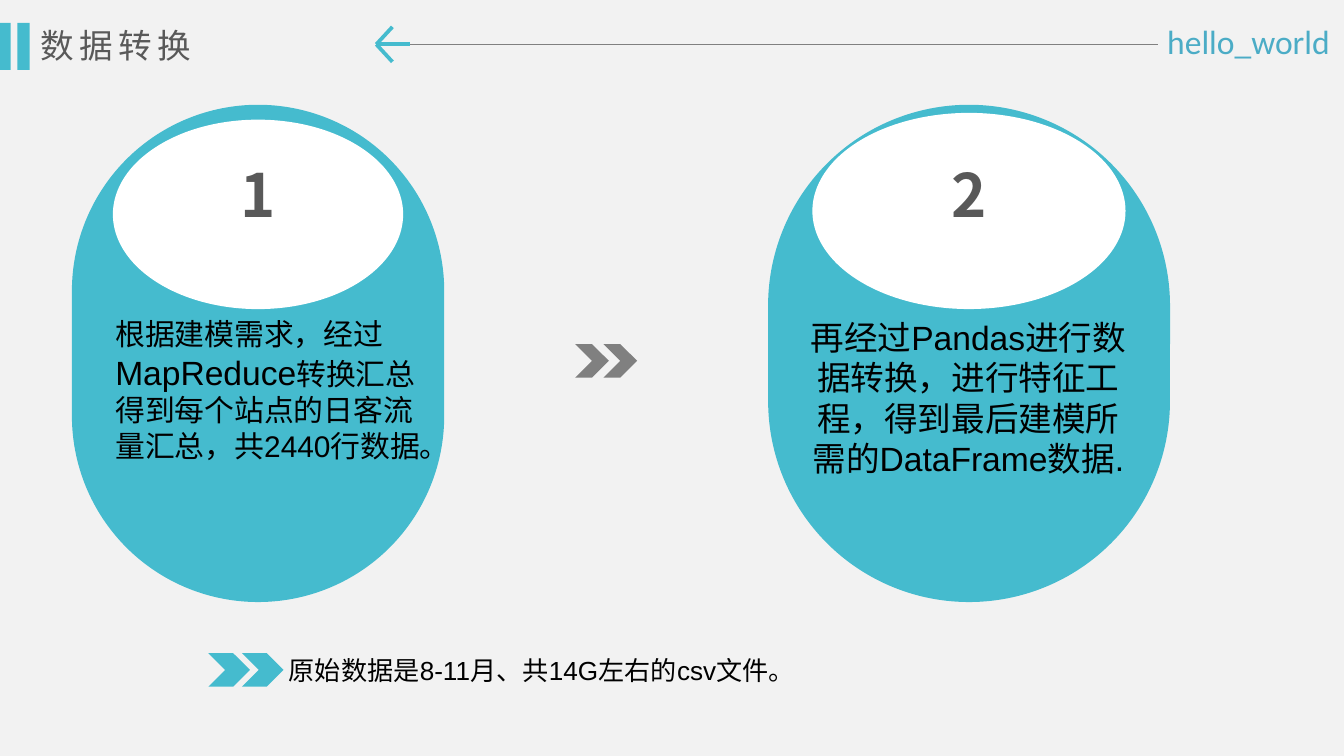
from lxml.etree import SubElement
from pptx import Presentation
from pptx.dml.color import RGBColor
from pptx.enum.shapes import MSO_CONNECTOR, MSO_SHAPE
from pptx.enum.text import PP_ALIGN
from pptx.oxml.ns import qn
from pptx.util import Inches, Pt

TEAL = RGBColor(0x45, 0xBB, 0xCE)
BLUE = RGBColor(0x4B, 0xAC, 0xC6)
GRAY = RGBColor(0x80, 0x80, 0x80)
DARK = RGBColor(0x59, 0x59, 0x59)
BLACK = RGBColor(0, 0, 0)
WHITE = RGBColor(0xFF, 0xFF, 0xFF)
BACKGROUND = RGBColor(0xF2, 0xF2, 0xF2)
CHINESE_FONT = "Noto Sans CJK SC"

TITLE = "数据转换"
TAG = "hello_world"
NOTE = "原始数据是8-11月、共14G左右的csv文件。"
PANEL_HEIGHT = 3.7
PANEL_MIDDLE = 2.63
PANELS = [
    {
        "number": "1", "center": 1.92, "width": 2.77,
        "oval": (0.89, 2.16, 1.41), "number_width": 2.38,
        "text_box": (0.76, 2.3, 2.5, 1.21), "align": PP_ALIGN.LEFT,
        "runs": [("根据建模需求，经过", 16), ("MapReduce", 18),
                 ("转换汇总得到每个站点的日客流量汇总，共2440行数据。", 16)],
    },
    {
        "number": "2", "center": 7.21, "width": 2.99,
        "oval": (0.84, 2.33, 1.46), "number_width": 2.57,
        "text_box": (5.87, 2.31, 2.67, 1.58), "align": PP_ALIGN.CENTER,
        "runs": [("再经过Pandas进行数据转换，进行特征工程，"
                  "得到最后建模所需的DataFrame数据.", 18)],
    },
]
CHEVRON_PAIRS = [
    (1.55, 4.86, 0.31, 0.25, TEAL),
    (4.28, 2.56, 0.25, 0.21, GRAY),
]
CHEVRON_HEIGHT = 0.25
ARROW_TIP = (2.8, 0.33)
ARROW_ENDS = [(2.92, 0.2), (2.92, 0.46), (3.05, 0.33)]

presentation = Presentation()
presentation.slide_width = Inches(10)
presentation.slide_height = Inches(10 * 9 / 16)
slide = presentation.slides.add_slide(presentation.slide_layouts[6])
slide.background.fill.solid()
slide.background.fill.fore_color.rgb = BACKGROUND


def add_filled(kind, left, top, width, height, color):
    shape = slide.shapes.add_shape(
        kind, Inches(left), Inches(top), Inches(width), Inches(height))
    shape.shadow.inherit = False
    shape.fill.solid()
    shape.fill.fore_color.rgb = color
    shape.line.fill.background()
    return shape


def add_line(start, end, color, width):
    points = [Inches(value) for value in (*start, *end)]
    line = slide.shapes.add_connector(MSO_CONNECTOR.STRAIGHT, *points)
    line.line.color.rgb = color
    line.line.width = Pt(width)
    SubElement(line._element.spPr, qn("a:effectLst"))


def add_text(box, runs, color, font_name="Arial", align=PP_ALIGN.LEFT,
             bold=False, spacing=0, inset=True):
    frame = slide.shapes.add_textbox(*(Inches(value) for value in box)).text_frame
    frame.word_wrap = True
    if not inset:
        frame.margin_left = frame.margin_right = 0
        frame.margin_top = frame.margin_bottom = 0
    paragraph = frame.paragraphs[0]
    paragraph.alignment = align
    sizes = {size for _, size in runs}
    for text, size in runs:
        run = paragraph.add_run()
        run.text = text
        if len(sizes) > 1:
            run.font.size = Pt(size)
    font = paragraph.font
    font.name = font_name
    font.color.rgb = color
    font.bold = bold
    if len(sizes) == 1:
        font.size = Pt(runs[0][1])
    for properties in [font._element] + [run.font._element for run in paragraph.runs]:
        if spacing:
            properties.set("spc", str(int(spacing * 100)))
        SubElement(properties, qn("a:ea")).set("typeface", CHINESE_FONT)
    return paragraph


for left in (-0.01, 0.13):
    add_filled(MSO_SHAPE.RECTANGLE, left, 0.17, 0.09, 0.35, TEAL)
add_line((3.05, 0.33), (8.62, 0.33), GRAY, 0.75)
add_text((8.58, 0.11, 1.42, 0.4), [(TAG, 18)], BLUE, "Calibri", PP_ALIGN.CENTER)
add_text((0.2, 0.14, 2.67, 0.4), [(TITLE, 18)], DARK, CHINESE_FONT, spacing=3)
for end in ARROW_ENDS:
    add_line(ARROW_TIP, end, TEAL, 2)

for panel in PANELS:
    center, width = panel["center"], panel["width"]
    pill = add_filled(MSO_SHAPE.ROUNDED_RECTANGLE, center - PANEL_HEIGHT / 2,
                      PANEL_MIDDLE - width / 2, PANEL_HEIGHT, width, TEAL)
    pill.adjustments[0] = 0.5
    pill.rotation = 90
    oval_top, oval_width, oval_height = panel["oval"]
    add_filled(MSO_SHAPE.OVAL, center - oval_width / 2, oval_top,
               oval_width, oval_height, WHITE)
    number_width = panel["number_width"]
    number = add_text((center - number_width / 2, 0.91, number_width, 1.16),
                      [(panel["number"], 32)], DARK, CHINESE_FONT,
                      PP_ALIGN.CENTER, bold=True, spacing=0.5, inset=False)
    number.line_spacing = 1.5
    add_text(panel["text_box"], panel["runs"], BLACK, align=panel["align"])

for left, top, width, step, color in CHEVRON_PAIRS:
    for index in range(2):
        add_filled(MSO_SHAPE.CHEVRON, left + index * step, top,
                   width, CHEVRON_HEIGHT, color)
add_text((2.05, 4.82, 7.33, 0.34), [(NOTE, 14)], BLACK, align=PP_ALIGN.JUSTIFY)

presentation.save("out.pptx")
